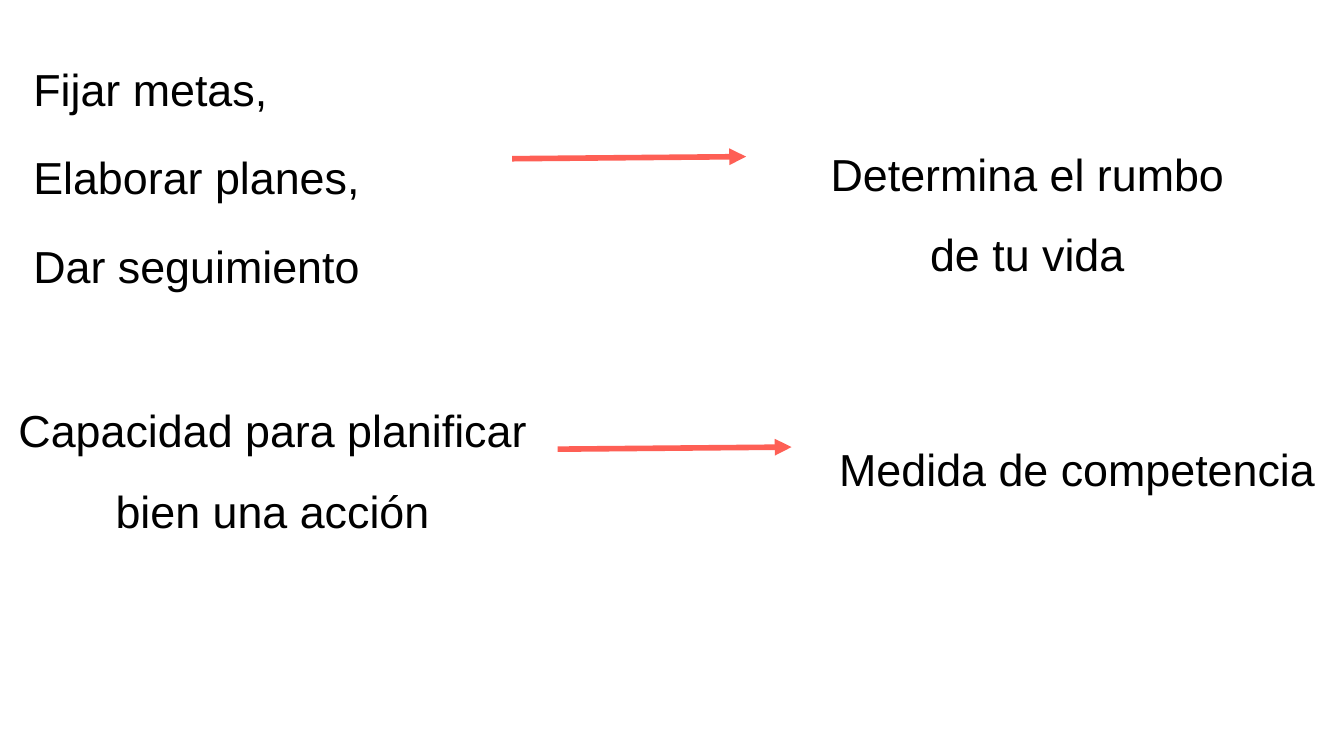
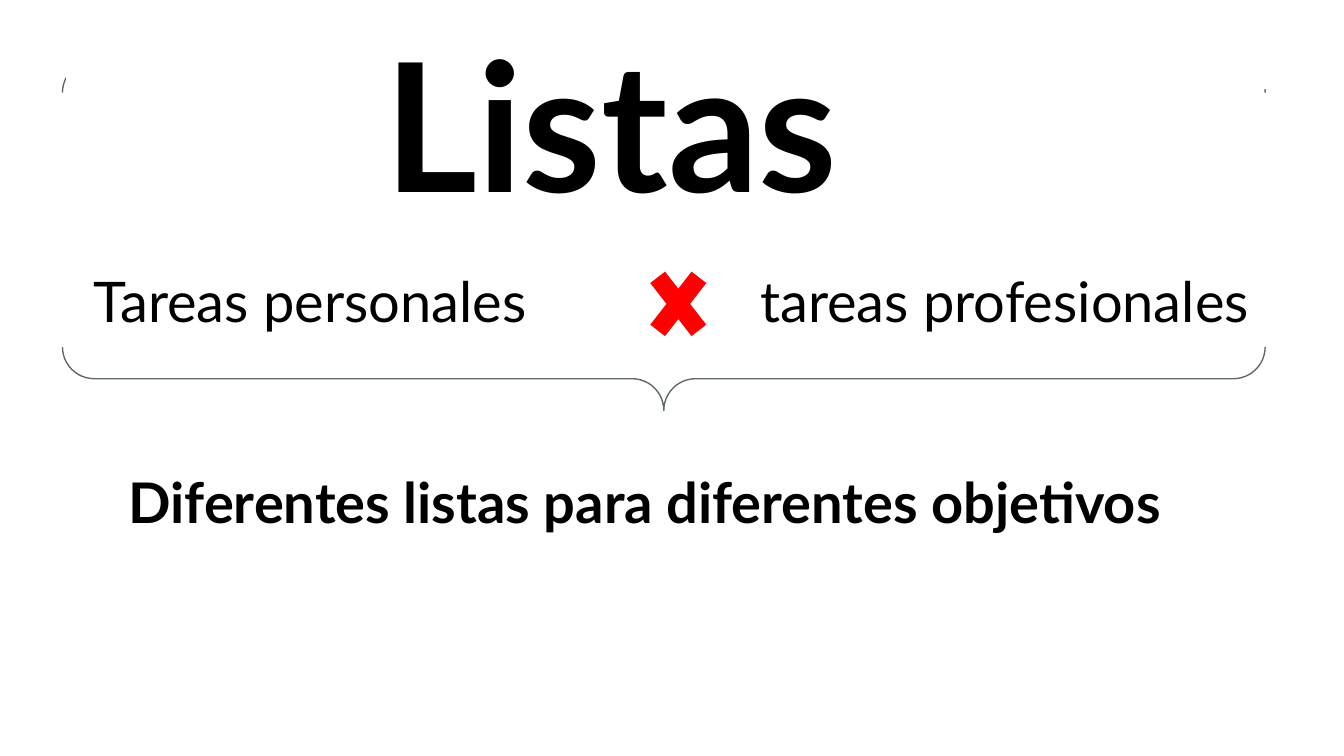
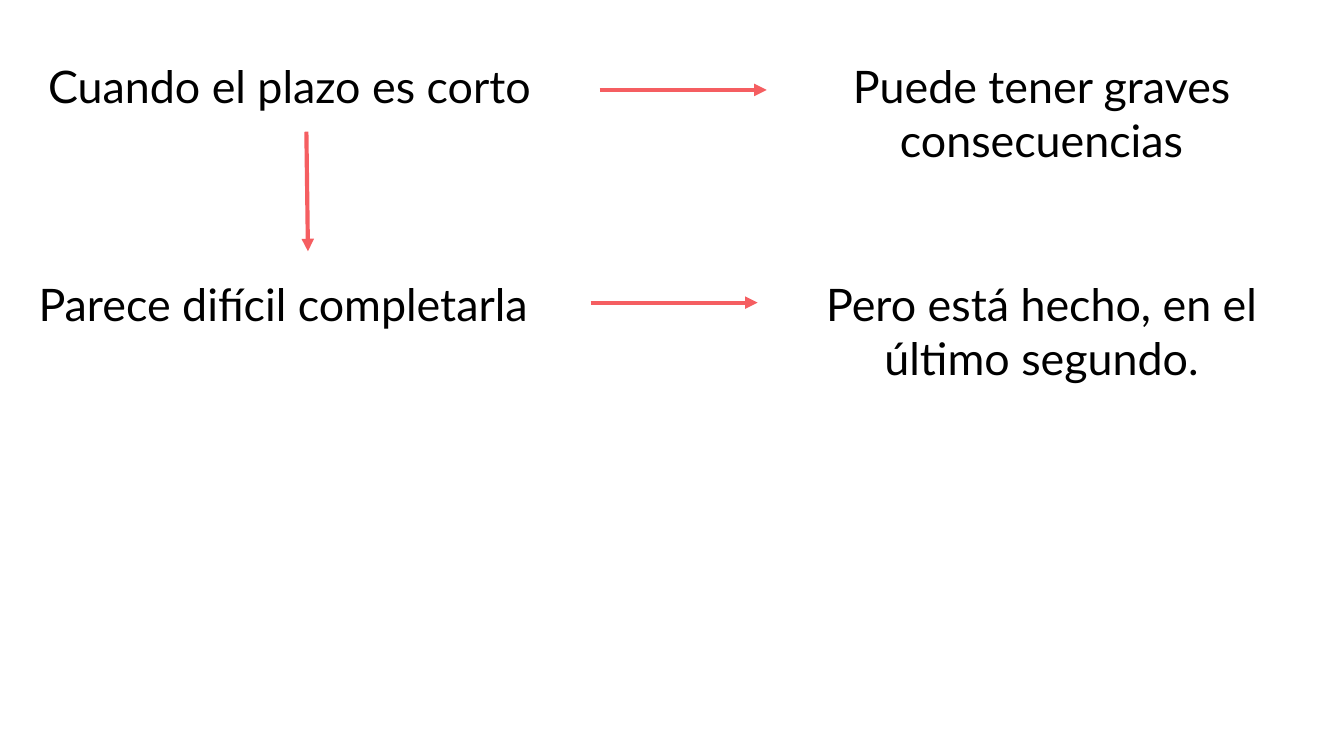
import pptx
import pptx.util
import pptx.dml.color
import pptx.enum.shapes
import pptx.enum.text
import pptx.oxml.ns
from lxml import etree

Cm = pptx.util.Cm
SHAPES = pptx.enum.shapes.MSO_SHAPE
ALIGN = pptx.enum.text.PP_ALIGN

COLORS = {
    "text": "000000",
    "page": "FFFFFF",
    "plan_arrow": "FE5F55",
    "deadline_arrow": "F55E61",
    "brace": "5E696C",
    "cross": "FF0000",
}


def rgb(name):
    return pptx.dml.color.RGBColor.from_string(COLORS[name])


def add_page(deck):
    page = deck.slides.add_slide(deck.slide_layouts[6])
    page.background.fill.solid()
    page.background.fill.fore_color.rgb = rgb("page")
    return page


def add_text(page, text, left, top, width, height, *, font="Lato", size=24,
             bold=False, align=ALIGN.LEFT, spacing=1.0):
    """Add a text box; each line of the text becomes a paragraph."""
    box = page.shapes.add_textbox(Cm(left), Cm(top), Cm(width), Cm(height))
    frame = box.text_frame
    frame.word_wrap = True
    frame.margin_left = frame.margin_right = Cm(0.25)
    frame.margin_top = frame.margin_bottom = Cm(0.25)
    frame.text = text
    for para in frame.paragraphs:
        para.alignment = align
        para.line_spacing = spacing
        for span in para.runs:
            span.font.name = font
            span.font.size = pptx.util.Pt(size)
            span.font.bold = bold
            span.font.color.rgb = rgb("text")


def add_arrow(page, left, top, across, down, *, color, weight):
    """Add an arrow from a start point, running across and down."""
    arrow = page.shapes.add_connector(
        pptx.enum.shapes.MSO_CONNECTOR.STRAIGHT,
        Cm(left), Cm(top), Cm(left + across), Cm(top + down))
    arrow.line.color.rgb = rgb(color)
    arrow.line.width = pptx.util.Pt(weight)
    qn = pptx.oxml.ns.qn
    etree.SubElement(arrow.line._get_or_add_ln(), qn("a:tailEnd"), type="triangle")
    etree.SubElement(arrow._element.spPr, qn("a:effectLst"))


def add_shape(page, kind, left, top, width, height, *, fill=None, line=None):
    shape = page.shapes.add_shape(kind, Cm(left), Cm(top), Cm(width), Cm(height))
    shape.shadow.inherit = False
    if fill:
        shape.fill.solid()
        shape.fill.fore_color.rgb = rgb(fill)
    else:
        shape.fill.background()
    if line:
        shape.line.color.rgb = rgb(line)
        shape.line.width = pptx.util.Pt(0.75)
    else:
        shape.line.fill.background()
    return shape


def build_planning(page):
    style = {"font": "Arial", "spacing": 1.5}
    # Steps of planning
    for row, step in enumerate(["Fijar metas,", "Elaborar planes,", "Dar seguimiento"]):
        add_text(page, step, 0.38, 0.4 + 1.68 * row, 14.4, 1.27, **style)

    # Causes and results
    style["align"] = ALIGN.CENTER
    add_text(page, "Determina el rumbo\nde tu vida", 14.4, 2.01, 10.03, 1.93, **style)
    add_text(page, "Capacidad para planificar bien una acción",
             -0.25, 6.86, 10.8, 1.27, **style)
    add_text(page, "Medida de competencia", 15.49, 7.6, 9.73, 1.27, **style)
    for left, top in [(9.68, 3.0), (10.54, 8.49)]:
        add_arrow(page, left, top, 4.42, -0.04, color="plan_arrow", weight=3)


def build_lists(page):
    # Brace under the two kinds of task; a white band hides its upper half
    brace = add_shape(page, SHAPES.DOUBLE_BRACE, 8.94, -7.21, 7.21, 22.73, line="brace")
    brace.rotation = 90
    add_shape(page, SHAPES.RECTANGLE, 1.25, -0.25, 24.15, 1.93, fill="page")

    # Title, tasks and conclusion
    add_text(page, "Listas ", 3.91, 0, 16.1, 3.56,
             size=96, bold=True, align=ALIGN.CENTER)
    add_text(page, "Tareas personales", 1.52, 4.78, 10.29, 2.18, size=30)
    add_text(page, "tareas profesionales", 14.12, 4.78, 10.29, 1.93, size=30)
    add_shape(page, SHAPES.MATH_MULTIPLY, 12.07, 4.78, 1.5, 1.93, fill="cross")
    add_text(page, "Diferentes listas para diferentes objetivos",
             2.18, 7.95, 21.21, 1.93, size=30, bold=True,
             align=ALIGN.JUSTIFY, spacing=1.5)


def build_deadline(page):
    arrow = {"color": "deadline_arrow", "weight": 2.25}
    # Each row: text top, cause and its left, arrow start, result
    rows = [
        (0.86, "Cuando el plazo es corto", 0.66, (11.33, 1.7),
         "Puede tener graves consecuencias"),
        (4.98, "Parece difícil completarla", 0.48, (11.16, 5.72),
         "Pero está hecho, en el último segundo."),
    ]
    for top, cause, left, start, result in rows:
        add_text(page, cause, left, top, 10.31, 2.92)
        add_arrow(page, *start, 3.16, 0, **arrow)
        add_text(page, result, 14.53, top, 10.31, 2.92, align=ALIGN.CENTER)
    # Arrow between the rows
    add_arrow(page, 5.79, 2.49, 0.03, 2.26, **arrow)


def main():
    deck = pptx.Presentation()
    deck.slide_width, deck.slide_height = Cm(25.4), Cm(14.29)
    for build in (build_planning, build_lists, build_deadline):
        build(add_page(deck))
    deck.save("out.pptx")


if __name__ == "__main__":
    main()
